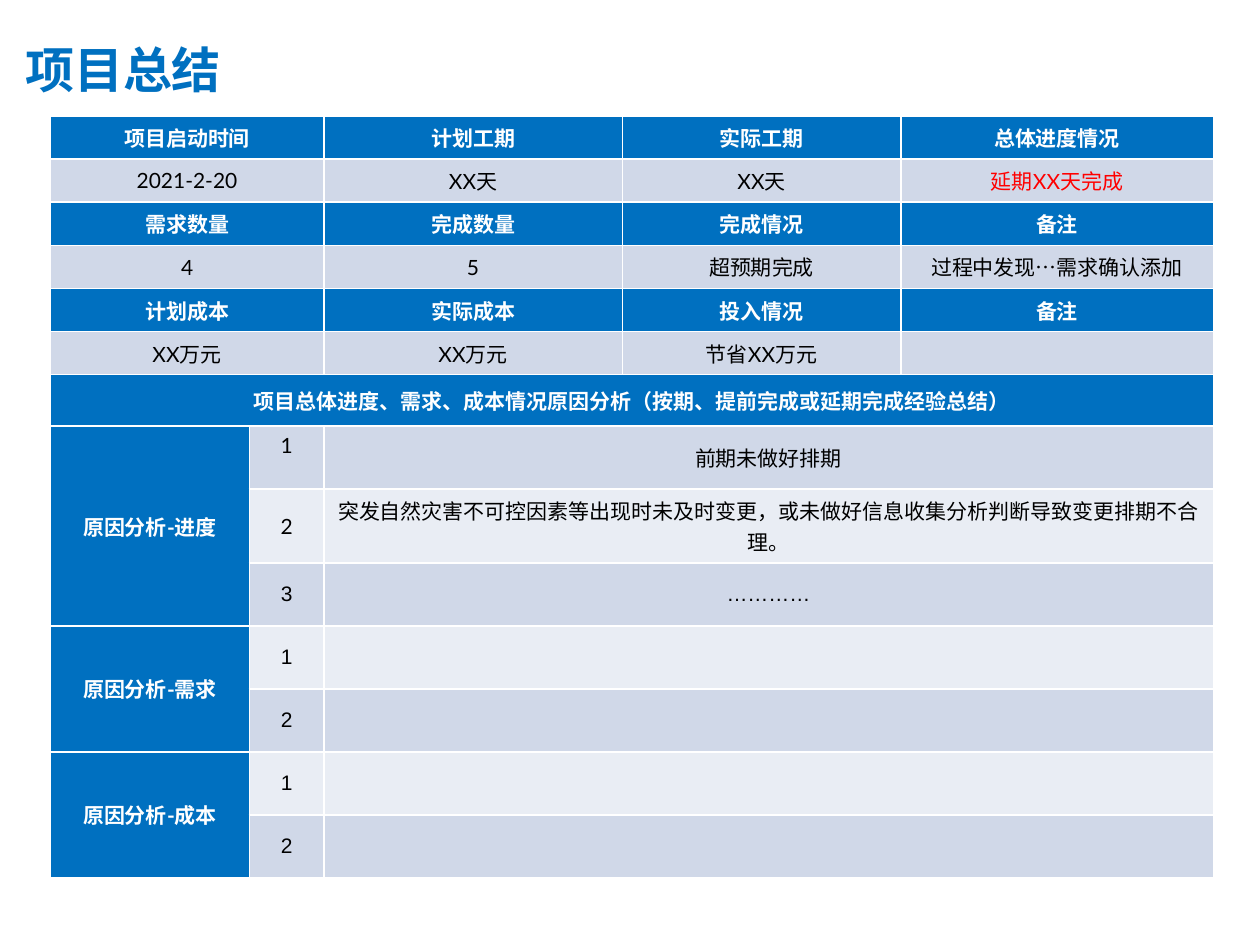
import dataclasses

import pptx
import pptx.dml.color
import pptx.enum.text
import pptx.util
from pptx.oxml import ns
from lxml import etree

MIDDLE = pptx.enum.text.MSO_ANCHOR.MIDDLE
TOP = pptx.enum.text.MSO_ANCHOR.TOP
CENTER = pptx.enum.text.PP_ALIGN.CENTER
LEFT = pptx.enum.text.PP_ALIGN.LEFT


@dataclasses.dataclass(frozen=True)
class Theme:
    blue: str = "0070C0"
    band: str = "D0D8E8"
    pale: str = "E9EDF4"
    white: str = "FFFFFF"
    black: str = "000000"
    alert: str = "FF0000"
    latin: str = "Lato"
    number: str = "Arial"
    chinese: str = "Noto Sans CJK SC"
    title_size: int = 28
    body_size: int = 12


THEME = Theme()
WIDTH, HEIGHT = 10, 7.5
COLUMNS = [1.58, 0.59, 2.37, 2.21, 2.48]
FACT_ROW, BANNER_ROW, REASON_ROW = 0.34, 0.41, 0.5

# Pairs of heading row and value row
FACTS = [
    (["项目启动时间", "计划工期", "实际工期", "总体进度情况"],
     ["2021-2-20", "XX天", "XX天", "延期XX天完成"]),
    (["需求数量", "完成数量", "完成情况", "备注"],
     ["4", "5", "超预期完成", "过程中发现…需求确认添加"]),
    (["计划成本", "实际成本", "投入情况", "备注"],
     ["XX万元", "XX万元", "节省XX万元", ""]),
]
BANNER = "项目总体进度、需求、成本情况原因分析（按期、提前完成或延期完成经验总结）"
REASONS = [
    ("原因分析-进度", ["前期未做好排期",
                 "突发自然灾害不可控因素等出现时未及时变更，或未做好信息收集分析判断导致变更排期不合理。",
                 "…………"]),
    ("原因分析-需求", ["", ""]),
    ("原因分析-成本", ["", ""]),
]


def rgb(code):
    return pptx.dml.color.RGBColor.from_string(code)


def style_paragraph(paragraph, size, color, bold, latin, align=CENTER):
    paragraph.alignment = align
    font = paragraph.font
    font.size, font.bold, font.name = pptx.util.Pt(size), bold, latin
    font.color.rgb = rgb(color)
    # East Asian typeface follows the Latin one
    defaults = paragraph._p.pPr.find(ns.qn("a:defRPr"))
    east_asian = etree.SubElement(defaults, ns.qn("a:ea"))
    east_asian.set("typeface", THEME.chinese)


def fill_cell(cell, text, fill, color=THEME.black, bold=False,
              latin=THEME.latin, anchor=MIDDLE):
    cell.fill.solid()
    cell.fill.fore_color.rgb = rgb(fill)
    cell.vertical_anchor = anchor
    cell.text = text
    style_paragraph(cell.text_frame.paragraphs[0], THEME.body_size,
                    color, bold, latin)


def fill_heading(cell, text):
    fill_cell(cell, text, THEME.blue, THEME.white, bold=True)


def add_title(slide, text):
    title = slide.shapes.title
    title.left, title.top = 0, pptx.util.Inches(0.2)
    title.width, title.height = pptx.util.Inches(0.77 * WIDTH), pptx.util.Inches(0.7)
    frame = title.text_frame
    frame.text = text
    frame.vertical_anchor = MIDDLE
    frame.margin_left = pptx.util.Inches(0.2)
    style_paragraph(frame.paragraphs[0], THEME.title_size, THEME.blue, True,
                    THEME.chinese, LEFT)


def add_summary_grid(slide):
    reason_count = sum(len(reasons) for _, reasons in REASONS)
    heights = [FACT_ROW] * (2 * len(FACTS)) + [BANNER_ROW] + [REASON_ROW] * reason_count
    grid = slide.shapes.add_table(
        len(heights), len(COLUMNS), pptx.util.Inches(0.4), pptx.util.Inches(0.92),
        pptx.util.Inches(sum(COLUMNS)), pptx.util.Inches(sum(heights))).table
    for column, width in zip(grid.columns, COLUMNS):
        column.width = pptx.util.Inches(width)
    for row, height in zip(grid.rows, heights):
        row.height = pptx.util.Inches(height)
    return grid


def fill_facts(grid):
    for pair, (headings, values) in enumerate(FACTS):
        for row in (2 * pair, 2 * pair + 1):
            grid.cell(row, 0).merge(grid.cell(row, 1))
        for column, heading, value in zip((0, 2, 3, 4), headings, values):
            fill_heading(grid.cell(2 * pair, column), heading)
            color = THEME.alert if value.startswith("延期") else THEME.black
            fill_cell(grid.cell(2 * pair + 1, column), value, THEME.band, color)


def fill_banner(grid, row):
    grid.cell(row, 0).merge(grid.cell(row, len(COLUMNS) - 1))
    fill_heading(grid.cell(row, 0), BANNER)


def fill_reasons(grid, first_row):
    row = first_row
    for topic, reasons in REASONS:
        grid.cell(row, 0).merge(grid.cell(row + len(reasons) - 1, 0))
        fill_heading(grid.cell(row, 0), topic)
        for number, reason in enumerate(reasons, 1):
            step = row - first_row
            fill = THEME.pale if step % 2 else THEME.band
            # The first two reasons use the text face, later ones the number face
            latin = THEME.latin if step < 2 else THEME.number
            fill_cell(grid.cell(row, 1), str(number), fill, latin=latin,
                      anchor=MIDDLE if step else TOP)
            grid.cell(row, 2).merge(grid.cell(row, 4))
            fill_cell(grid.cell(row, 2), reason, fill, latin=latin)
            row += 1


def main():
    deck = pptx.Presentation()
    deck.slide_width = pptx.util.Inches(WIDTH)
    deck.slide_height = pptx.util.Inches(HEIGHT)
    slide = deck.slides.add_slide(deck.slide_layouts[5])
    add_title(slide, "项目总结")
    grid = add_summary_grid(slide)
    banner_row = 2 * len(FACTS)
    fill_facts(grid)
    fill_banner(grid, banner_row)
    fill_reasons(grid, banner_row + 1)
    deck.save("out.pptx")


if __name__ == "__main__":
    main()
